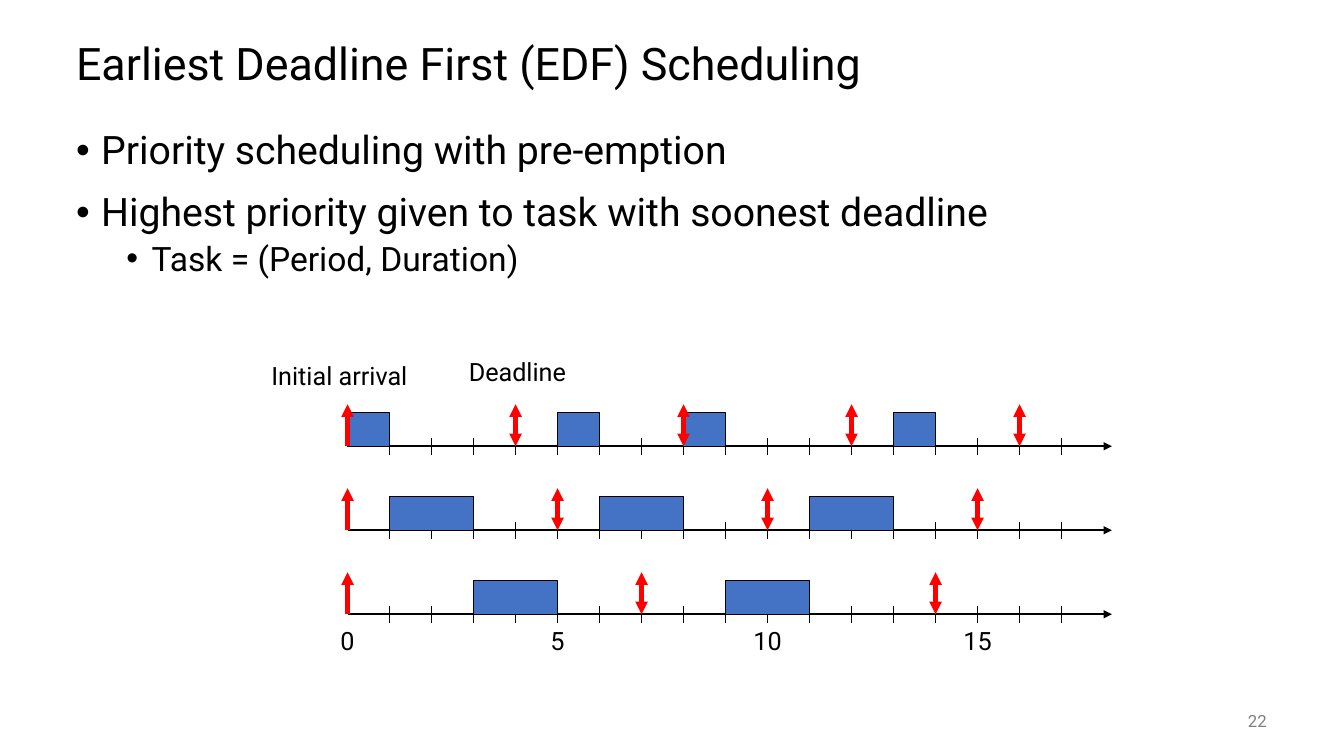
from pptx import Presentation
from pptx.dml.color import RGBColor
from pptx.enum.shapes import MSO_CONNECTOR, MSO_SHAPE
from pptx.enum.text import MSO_ANCHOR, PP_ALIGN
from pptx.oxml.ns import qn
from pptx.util import Emu, Pt
from lxml.etree import SubElement

COLORS = {"ink": "000000", "task": "4472C4", "mark": "FF0000", "page": "808080"}
FONT = "Roboto"
LEFT, TOP = 331, 425    # time zero on the first axis
UNIT, GAP = 40, 80      # one time step, distance between axes
LENGTH, TICKS = 728, 17

# Each task: duration, start times, deadlines
TASKS = [
    (1, [0, 5, 8, 13], [4, 8, 12, 16]),
    (2, [1, 6, 11], [5, 10, 15]),
    (2, [3, 9], [7, 14]),
]
BULLETS = [
    (0, "Priority scheduling with pre-emption"),
    (0, "Highest priority given to task with soonest deadline"),
    (1, "Task = (Period, Duration)"),
]


def px(n):
    return Emu(n * 9525)


def hue(name):
    return RGBColor.from_string(COLORS[name])


class Canvas:
    def __init__(self, slide):
        self.shapes = slide.shapes

    def run(self, para, text, size, color="ink"):
        run = para.add_run()
        run.text = text
        font = run.font
        font.name, font.size = FONT, Pt(size)
        font.color.rgb = hue(color)

    def frame(self, x, y, w, h, anchor=MSO_ANCHOR.TOP):
        frame = self.shapes.add_textbox(px(x), px(y), px(w), px(h)).text_frame
        frame.word_wrap = True
        frame.vertical_anchor = anchor
        return frame

    def text(self, x, y, w, h, text, size=18, color="ink",
             align=PP_ALIGN.LEFT, anchor=MSO_ANCHOR.TOP):
        para = self.frame(x, y, w, h, anchor).paragraphs[0]
        para.alignment = align
        self.run(para, text, size, color)

    def bullets(self, x, y, w, h, items):
        frame = self.frame(x, y, w, h)
        for i, (level, text) in enumerate(items):
            para = frame.add_paragraph() if i else frame.paragraphs[0]
            para.level = level
            para.line_spacing = 0.9
            if i:
                para.space_before = Pt(5 if level else 14)
            props = para._p.get_or_add_pPr()
            props.set("marL", str(px(24 + 48 * level)))
            props.set("indent", str(px(-24)))
            SubElement(props, qn("a:buFont"), typeface="Arial")
            SubElement(props, qn("a:buChar"), char="•")
            self.run(para, text, 24 if level else 28)

    def box(self, x, y, w, h):
        box = self.shapes.add_shape(MSO_SHAPE.RECTANGLE, px(x), px(y), px(w), px(h))
        box.shadow.inherit = False
        box.fill.solid()
        box.fill.fore_color.rgb = hue("task")
        box.line.color.rgb = hue("ink")
        box.line.width = Pt(0.75)

    def line(self, x1, y1, x2, y2, color="ink", width=0.75, ends=()):
        """Draw a line; ends lists the arrowheads, headEnd before tailEnd."""
        line = self.shapes.add_connector(
            MSO_CONNECTOR.STRAIGHT, px(x1), px(y1), px(x2), px(y2))
        line.line.color.rgb = hue(color)
        line.line.width = Pt(width)
        for end in ends:
            SubElement(line.line._get_or_add_ln(), qn("a:" + end), type="triangle")
        SubElement(line._element.spPr, qn("a:effectLst"))

    def axis(self, y):
        self.line(LEFT, y, LEFT + LENGTH, y, width=1.5, ends=["tailEnd"])
        for t in range(1, TICKS + 1):
            x = LEFT + t * UNIT
            self.line(x, y - 8, x, y + 8)

    def mark(self, time, y, *ends):
        x = LEFT + time * UNIT
        self.line(x, y, x, y - 40, "mark", 3, ends)


def main():
    deck = Presentation()
    deck.slide_width, deck.slide_height = px(1280), px(720)
    art = Canvas(deck.slides.add_slide(deck.slide_layouts[6]))

    art.text(63, 24, 1152, 72, "Earliest Deadline First (EDF) Scheduling", 32,
             anchor=MSO_ANCHOR.MIDDLE)
    art.bullets(63, 120, 1152, 528, BULLETS)
    art.text(1120, 667, 96, 38, "22", 12, "page", PP_ALIGN.RIGHT, MSO_ANCHOR.MIDDLE)

    for row, (length, starts, deadlines) in enumerate(TASKS):
        y = TOP + row * GAP
        art.axis(y)
        for start in starts:
            art.box(LEFT + start * UNIT, y - 32, length * UNIT, 32)
        art.mark(0, y, "tailEnd")
        for time in deadlines:
            art.mark(time, y, "headEnd", "tailEnd")

    for time in range(0, TICKS, 5):
        art.text(LEFT + time * UNIT - 32, 591, 64, 38, str(time), align=PP_ALIGN.CENTER)
    art.text(437, 335, 116, 38, "Deadline")
    art.text(249, 338, 196, 38, "Initial arrival")
    deck.save("out.pptx")


if __name__ == "__main__":
    main()
